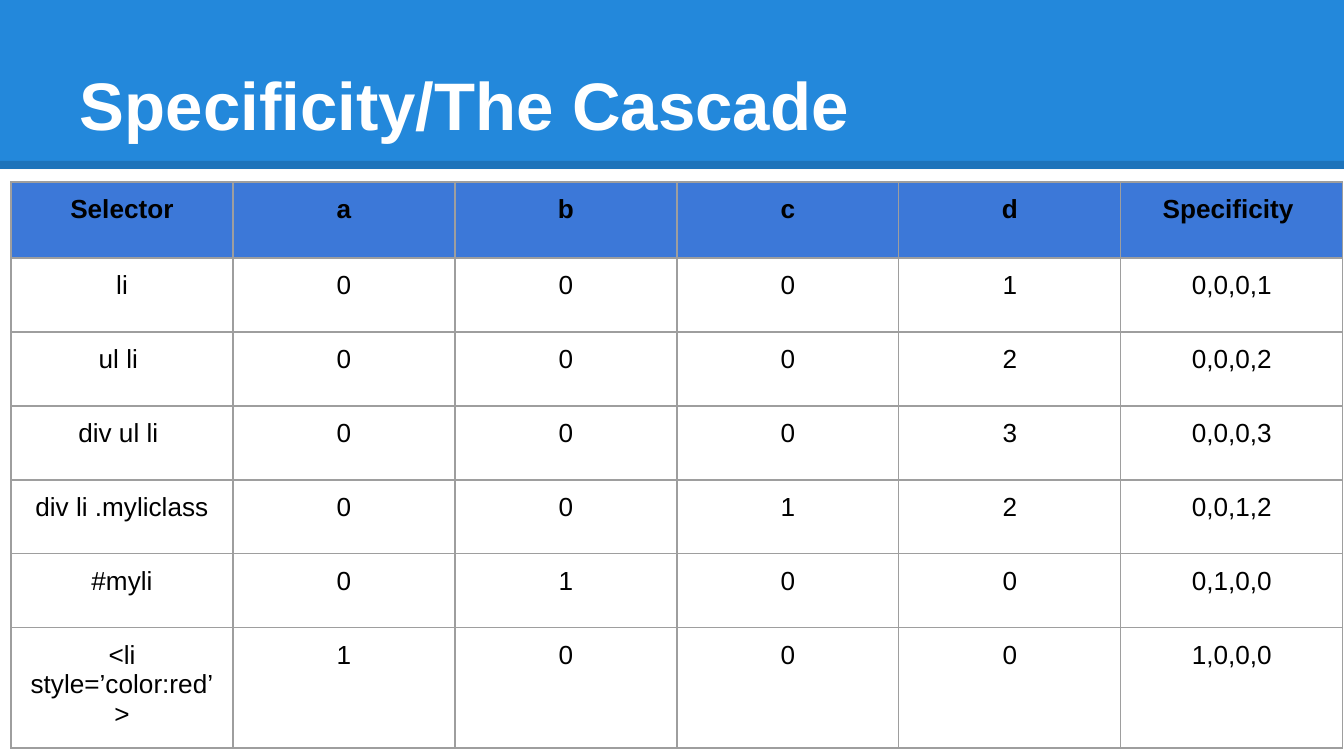
import pptx
import pptx.util
import pptx.dml.color
import pptx.enum.shapes
import pptx.enum.text
import pptx.oxml
import pptx.oxml.ns

TITLE = "Specificity/The Cascade"
HEADER = ["Selector", "a", "b", "c", "d", "Specificity "]
SELECTORS = [
    ("li", (0, 0, 0, 1)),
    ("ul li ", (0, 0, 0, 2)),
    ("div ul li ", (0, 0, 0, 3)),
    ("div li .myliclass", (0, 0, 1, 2)),
    ("#myli", (0, 1, 0, 0)),
    ("<li style=’color:red’>", (1, 0, 0, 0)),
]
WIDTH, HEIGHT = 1344, 756
BANNER_H, RULE_Y = 169, 165
TABLE_X, TABLE_Y = 11, 182
COL_W, HEADER_H, ROW_H = 222, 76, 74
INSET = 13
BORDER = "9E9E9E"
ALIGN = pptx.enum.text.PP_ALIGN


def px(n):
    return pptx.util.Emu(round(n * 914400 / 134.4))


def rgb(value):
    return pptx.dml.color.RGBColor.from_string(value)


def write(tf, text, size=14, color="000000", bold=False, align=ALIGN.CENTER):
    p = tf.paragraphs[0]
    p.alignment = align
    r = p.add_run()
    r.text = text
    r.font.name = "Arial"
    r.font.size = pptx.util.Pt(size)
    r.font.bold = bold
    r.font.color.rgb = rgb(color)


def set_insets(box):
    box.margin_left = box.margin_right = px(INSET)
    box.margin_top = box.margin_bottom = px(INSET)


def add_borders(cell):
    tc_pr = cell._tc.get_or_add_tcPr()
    for i, side in enumerate(("lnL", "lnR", "lnT", "lnB")):
        tc_pr.insert(i, pptx.oxml.parse_xml(
            f'<a:{side} {pptx.oxml.ns.nsdecls("a")} w="9525"><a:solidFill>'
            f'<a:srgbClr val="{BORDER}"/></a:solidFill></a:{side}>'))


def add_banner(s):
    sp = s.shapes.add_shape(pptx.enum.shapes.MSO_SHAPE.RECTANGLE,
                            0, 0, px(WIDTH), px(BANNER_H))
    sp.shadow.inherit = False
    sp.fill.solid()
    sp.fill.fore_color.rgb = rgb("2388DB")
    sp.line.fill.background()

    rule = s.shapes.add_connector(pptx.enum.shapes.MSO_CONNECTOR.STRAIGHT,
                                  0, px(RULE_Y), px(WIDTH), px(RULE_Y))
    rule.line.width = pptx.util.Pt(4.5)
    rule.line.color.rgb = rgb("000000")
    color = rule.line._ln.find(".//" + pptx.oxml.ns.qn("a:srgbClr"))
    pptx.oxml.ns.qn("a:alpha")
    color.append(pptx.oxml.parse_xml(
        f'<a:alpha {pptx.oxml.ns.nsdecls("a")} val="15000"/>'))
    rule._element.spPr.append(pptx.oxml.parse_xml(
        f'<a:effectLst {pptx.oxml.ns.nsdecls("a")}/>'))

    tf = s.shapes.add_textbox(px(67), px(31), px(1210), px(126)).text_frame
    tf.word_wrap = True
    tf.vertical_anchor = pptx.enum.text.MSO_ANCHOR.BOTTOM
    set_insets(tf)
    write(tf, TITLE, size=36, color="FFFFFF", bold=True, align=ALIGN.LEFT)


def add_specificity_table(s):
    rows = [HEADER] + [
        [selector, *map(str, counts), ",".join(map(str, counts))]
        for selector, counts in SELECTORS
    ]
    heights = [HEADER_H] + [ROW_H] * len(SELECTORS)
    table = s.shapes.add_table(
        len(rows), len(HEADER), px(TABLE_X), px(TABLE_Y),
        px(COL_W * len(HEADER)), px(sum(heights))).table
    table.horz_banding = False
    for col in table.columns:
        col.width = px(COL_W)
    for i, (row, height) in enumerate(zip(rows, heights)):
        table.rows[i].height = px(height)
        for j, text in enumerate(row):
            cell = table.cell(i, j)
            set_insets(cell)
            if i == 0:
                cell.fill.solid()
                cell.fill.fore_color.rgb = rgb("3C78D8")
            else:
                cell.fill.background()
            add_borders(cell)
            write(cell.text_frame, text, bold=i == 0)


def main():
    prs = pptx.Presentation()
    prs.slide_width, prs.slide_height = px(WIDTH), px(HEIGHT)
    s = prs.slides.add_slide(prs.slide_layouts[6])
    add_banner(s)
    add_specificity_table(s)
    prs.save("out.pptx")


if __name__ == "__main__":
    main()
